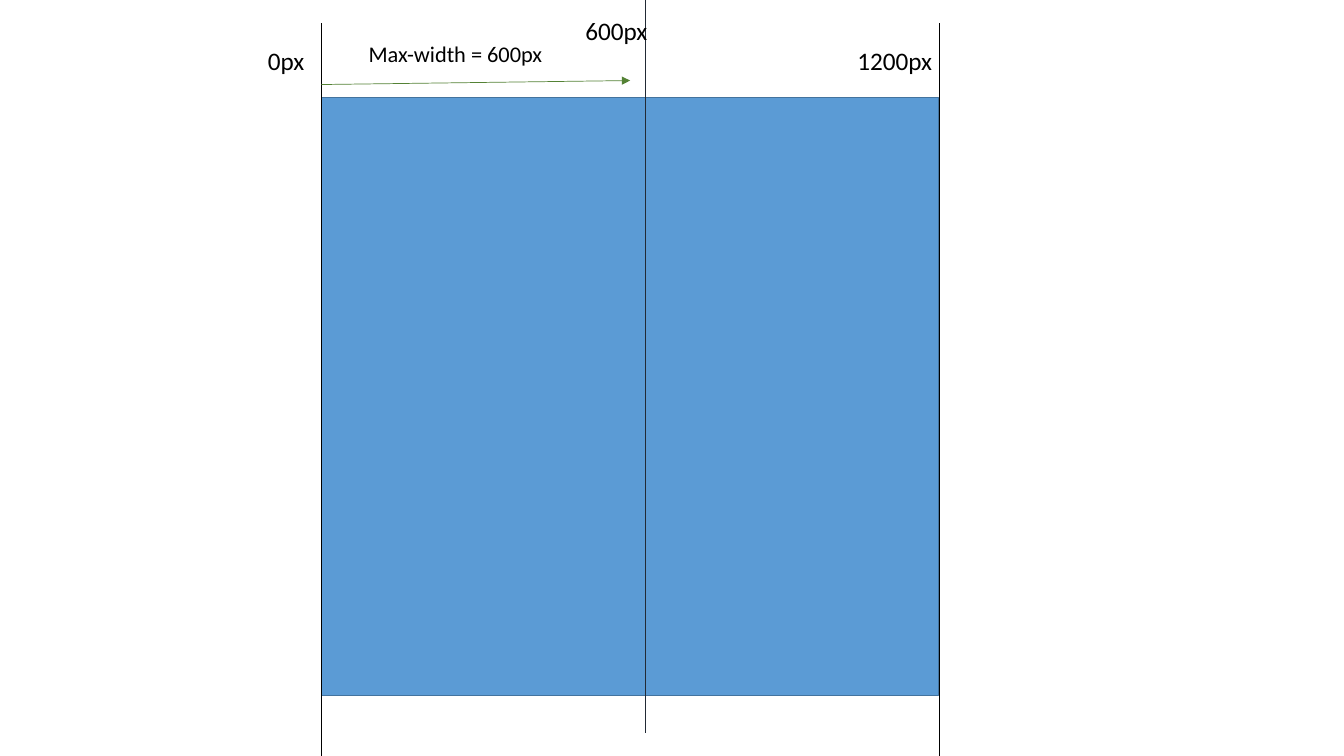
"""Build a slide that shows a 600px max-width inside a 1200px area."""
import pptx
import pptx.dml.color
import pptx.enum.shapes
import pptx.oxml.ns
import pptx.util
from lxml import etree
from pptx.util import Cm


def colour(value):
    return pptx.dml.color.RGBColor.from_string(value)


def draw_line(page, start, end, line_colour):
    line = page.shapes.add_connector(
        pptx.enum.shapes.MSO_CONNECTOR.STRAIGHT,
        Cm(start[0]), Cm(start[1]), Cm(end[0]), Cm(end[1]))
    line.line.color.rgb = colour(line_colour)
    line.line.width = pptx.util.Pt(0.5)
    properties = line._element.spPr
    etree.SubElement(properties, pptx.oxml.ns.qn("a:effectLst"))
    return line


deck = pptx.Presentation()
deck.slide_width, deck.slide_height = Cm(33.87), Cm(19.05)
page = deck.slides.add_slide(deck.slide_layouts[6])

left, middle, right = 8.1, 16.26, 23.67
area = page.shapes.add_shape(
    pptx.enum.shapes.MSO_SHAPE.RECTANGLE,
    Cm(left), Cm(2.46), Cm(15.55), Cm(15.06))
area.shadow.inherit = False
area.fill.solid()
area.fill.fore_color.rgb = colour("5B9BD5")
area.line.color.rgb = colour("43739E")
area.line.width = pptx.util.Pt(1)

guides = [(left, 0.58, "000000"), (middle, 0, "222A35"), (right, 0.58, "000000")]
for x, top, guide_colour in guides:
    draw_line(page, (x, top), (x, top + 18.47), guide_colour)

arrow = draw_line(page, (left, 2.13), (15.88, 2.03), "548235")
outline = arrow.line._get_or_add_ln()
etree.SubElement(outline, pptx.oxml.ns.qn("a:tailEnd"), type="triangle")

labels = [
    ("0px", 6.5, 1.02, 1.6, 1.02, 18),
    ("1200px", 21.36, 1.02, 2.57, 1.02, 18),
    ("600px", 14.5, 0.25, 2.13, 1.02, 18),
    ("Max-width = 600px", 9.04, 0.89, 7.06, 0.94, 16),
]
for text, x, y, width, height, size in labels:
    box = page.shapes.add_textbox(Cm(x), Cm(y), Cm(width), Cm(height))
    box.text_frame.word_wrap = True
    para = box.text_frame.paragraphs[0]
    para.text = text
    para.font.name = "Calibri"
    para.font.size = pptx.util.Pt(size)
    para.font.color.rgb = colour("000000")

deck.save("out.pptx")
